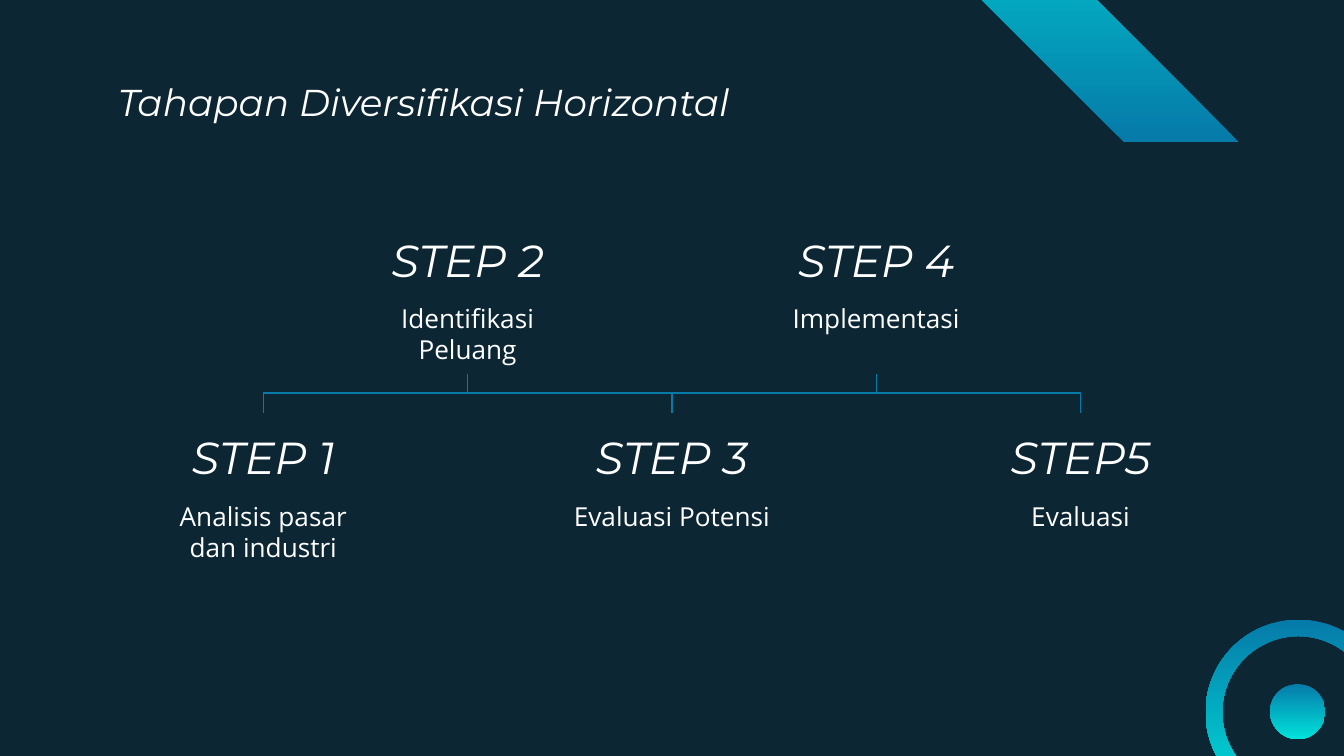
from lxml import etree
from pptx import Presentation
from pptx import util as u
from pptx.dml.color import RGBColor
from pptx.enum import shapes, text
from pptx.oxml.ns import qn

NAVY = RGBColor(0x0C, 0x26, 0x33)
BLUE = RGBColor(0x06, 0x7A, 0xA9)
AQUA = RGBColor(0x00, 0xE3, 0xDB)
WHITE = RGBColor(0xFF, 0xFF, 0xFF)

WIDTH = 10
HEIGHT = WIDTH * 9 / 16
COLUMN = 1.52
FIRST_CENTRE = WIDTH / 2 - 2 * COLUMN
BOX_WIDTH, BOX_HEIGHT = 1.8, 0.63
UPPER, LOWER = 1.6, 3.07
BODY_DROP = 0.55
BRANCH_TOP = UPPER + BODY_DROP + BOX_HEIGHT

TITLE = {"name": "Montserrat", "size": u.Pt(20), "italic": True}
HEADING = {**TITLE, "size": u.Pt(24)}
BODY = {"name": "Open Sans", "size": u.Pt(14)}

STEPS = [
    ("STEP 1", "Analisis pasar dan industri"),
    ("STEP 2", "Identifikasi Peluang"),
    ("STEP 3", "Evaluasi Potensi"),
    ("STEP 4", "Implementasi"),
    ("STEP5", "Evaluasi"),
]


def centre(column):
    return FIRST_CENTRE + column * COLUMN


def add_ornament(slide, preset, left, top, size, adjustment=None):
    ornament = slide.shapes.add_shape(preset, *map(u.Inches, (left, top, size, size)))
    ornament.shadow.inherit = False
    ornament.line.fill.background()
    ornament.fill.gradient()
    ornament.fill.gradient_angle = 270
    for stop, colour in zip(ornament.fill.gradient_stops, (BLUE, AQUA)):
        stop.color.rgb = colour
    if adjustment is not None:
        ornament.adjustments[0] = adjustment
    return ornament


def add_label(slide, wording, area, style, anchor=text.MSO_ANCHOR.TOP,
              align=text.PP_ALIGN.CENTER):
    frame = slide.shapes.add_textbox(*map(u.Inches, area)).text_frame
    margins = {f"margin_{side}": u.Inches(0.1) for side in ("left", "top", "right", "bottom")}
    for key, value in {**margins, "word_wrap": True, "vertical_anchor": anchor}.items():
        setattr(frame, key, value)
    paragraph = frame.paragraphs[0]
    paragraph.alignment = align
    run = paragraph.add_run()
    run.text = wording
    for key, value in style.items():
        setattr(run.font, key, value)
    run.font.color.rgb = WHITE


def add_step(slide, column, heading, body):
    top = UPPER if column % 2 else LOWER
    left = centre(column) - BOX_WIDTH / 2
    add_label(slide, heading, (left, top, BOX_WIDTH, BOX_HEIGHT), HEADING,
              anchor=text.MSO_ANCHOR.BOTTOM)
    add_label(slide, body, (left, top + BODY_DROP, BOX_WIDTH, BOX_HEIGHT), BODY)


def add_branch(slide, lower_column, upper_column):
    middle_x = (centre(lower_column) + centre(upper_column)) / 2
    middle_y = (LOWER + BRANCH_TOP) / 2
    half_rise, half_span = (LOWER - BRANCH_TOP) / 2, COLUMN / 2
    branch = slide.shapes.add_connector(
        shapes.MSO_CONNECTOR.ELBOW,
        *map(u.Inches, (middle_x - half_rise, middle_y - half_span,
                        middle_x + half_rise, middle_y + half_span)))
    branch.line.color.rgb = BLUE
    branch.line.width = u.Pt(0.75)
    properties = branch.element.spPr
    etree.SubElement(properties, qn("a:effectLst"))
    rightward = upper_column > lower_column
    turn = {"rot": "16200000"} if rightward else {"rot": "5400000", "flipH": "1"}
    for key, value in turn.items():
        properties.xfrm.set(key, value)


def main():
    deck = Presentation()
    deck.slide_width, deck.slide_height = u.Inches(WIDTH), u.Inches(HEIGHT)
    slide = deck.slides.add_slide(deck.slide_layouts[6])
    slide.background.fill.solid()
    slide.background.fill.fore_color.rgb = NAVY

    add_ornament(slide, shapes.MSO_SHAPE.DONUT, 8.97, 4.61, 1.38, 0.09)
    add_ornament(slide, shapes.MSO_SHAPE.OVAL, 9.45, 5.09, 0.41)
    stripe = add_ornament(slide, shapes.MSO_SHAPE.DIAGONAL_STRIPE, 6.78, -1.38, 2.44, 0.65)
    stripe.rotation = 180
    stripe.element.spPr.xfrm.set("flipH", "1")

    add_label(slide, "Tahapan Diversifikasi Horizontal", (0.78, 0.49, 8.43, BOX_HEIGHT),
              TITLE, align=text.PP_ALIGN.LEFT)
    for column, (heading, body) in enumerate(STEPS):
        add_step(slide, column, heading, body)
    for lower_column, upper_column in ((0, 1), (2, 1), (4, 3), (2, 3)):
        add_branch(slide, lower_column, upper_column)
    deck.save("out.pptx")


if __name__ == "__main__":
    main()
